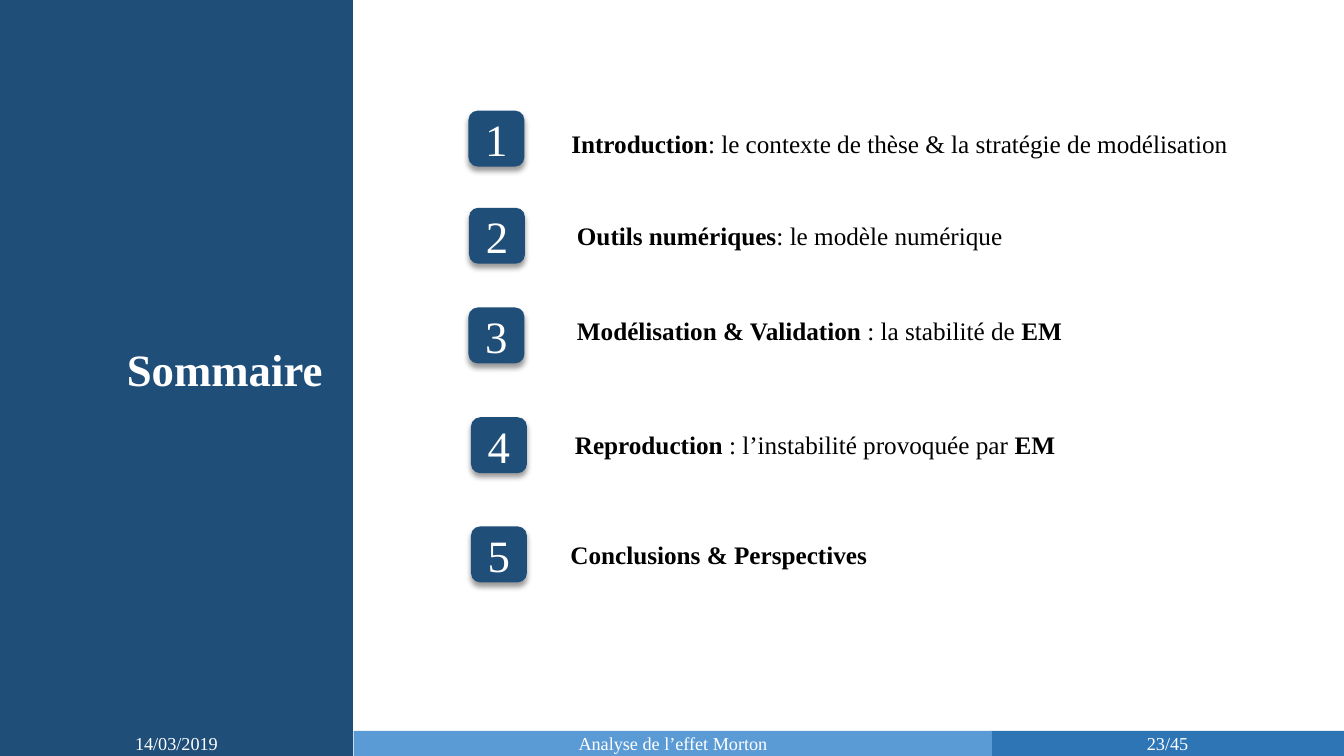
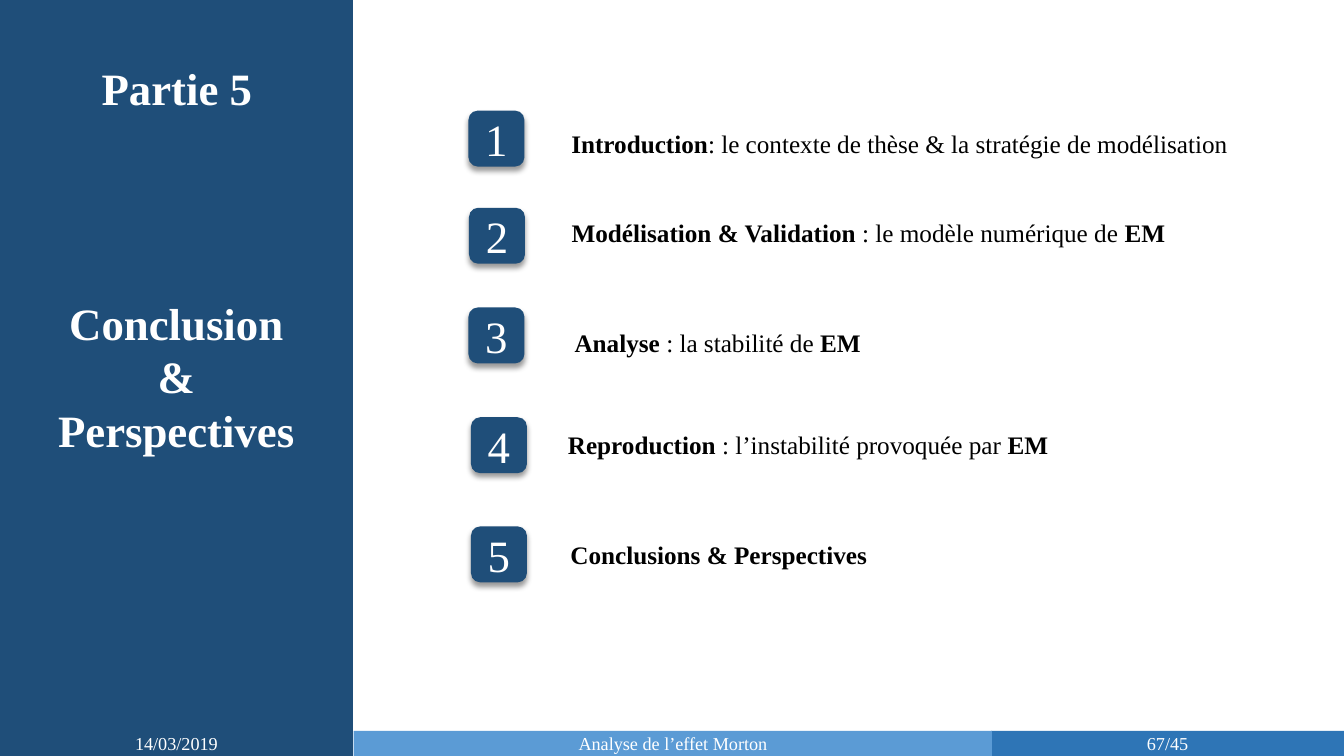
from lxml.etree import SubElement
from pptx import Presentation
from pptx.dml.color import RGBColor
from pptx.enum.shapes import MSO_SHAPE
from pptx.enum.text import MSO_ANCHOR, MSO_AUTO_SIZE, PP_ALIGN
from pptx.oxml.ns import qn
from pptx.util import Pt

NAVY = RGBColor(0x1F, 0x4E, 0x79)
BLUE = RGBColor(0x2E, 0x75, 0xB6)
SKY = RGBColor(0x5B, 0x9B, 0xD5)
WHITE = RGBColor(0xFF, 0xFF, 0xFF)
BLACK = RGBColor(0, 0, 0)

FONT = "Times New Roman"
TITLE = dict(size=Pt(32), bold=True)
NUMBER = dict(size=Pt(32), bold=False)
FOOTER = dict(size=Pt(13), bold=False)

WIDTH, HEIGHT = 960, 540
SIDEBAR_W = 252
FOOTER_TOP, FOOTER_H = 522, 18
BADGE = 40
BADGE_PLACES = [(334.6, 79), (335, 148.4), (334.6, 219.6), (336.4, 298), (336.4, 376)]

DATE = "14/03/2019"
TALK = "Analyse de l’effet Morton"

# Each entry: left, top, width, then runs that alternate bold and regular
INTRODUCTION = (398.9, 87.8, 487.4,
                ("Introduction", ": le contexte de thèse & la stratégie de modélisation"))
CONCLUSIONS = (398.9, 381.6, 229, ("Conclusions & Perspectives",))
REPRODUCTION = ("Reproduction", " : l’instabilité provoquée par ", "EM")

# Each title: left, top, width, height, lines
SLIDES = [
    dict(
        page="23/45",
        titles=[(82.8, 240.5, 155.5, 46, ["Sommaire"])],
        entries=[
            INTRODUCTION,
            (403.2, 154.1, 321.8, ("Outils numériques", ": le modèle numérique")),
            (403.2, 221.8, 364.3, ("Modélisation & Validation ", ": la stabilité de ", "EM")),
            (402.5, 303.1, 359.3, REPRODUCTION),
            CONCLUSIONS,
        ],
    ),
    dict(
        page="67/45",
        titles=[
            (64.8, 39.6, 123.1, 46, ["Partie 5"]),
            (5, 207.4, 242, 123.8, ["Conclusion", "&", "Perspectives"]),
        ],
        entries=[
            INTRODUCTION,
            (398.9, 151.9, 442.8,
             ("Modélisation & Validation", " : le modèle numérique de ", "EM")),
            (403.2, 230.4, 218.9, ("Analyse ", ": la stabilité de ", "EM")),
            (397.5, 303.1, 359.3, REPRODUCTION),
            CONCLUSIONS,
        ],
    ),
]


def set_font(font, color, style):
    font.name = FONT
    font.color.rgb = color
    for name, value in style.items():
        setattr(font, name, value)


def add_block(slide, kind, box, fill, text="", style=FOOTER):
    sp = slide.shapes.add_shape(kind, *map(Pt, box))
    sp.shadow.inherit = False
    sp.fill.solid()
    sp.fill.fore_color.rgb = fill
    sp.line.fill.background()
    if text:
        tf = sp.text_frame
        tf.vertical_anchor = MSO_ANCHOR.MIDDLE
        p = tf.paragraphs[0]
        p.alignment = PP_ALIGN.CENTER
        r = p.add_run()
        r.text = text
        set_font(r.font, WHITE, style)
    return sp


def add_text(slide, box, lines, color, style):
    """Add centred lines, each a sequence of (text, bold) runs."""
    tf = slide.shapes.add_textbox(*map(Pt, box)).text_frame
    tf.word_wrap = False
    tf.auto_size = MSO_AUTO_SIZE.SHAPE_TO_FIT_TEXT
    for i, runs in enumerate(lines):
        p = tf.add_paragraph() if i else tf.paragraphs[0]
        p.alignment = PP_ALIGN.CENTER
        for text, bold in runs:
            r = p.add_run()
            r.text = text
            set_font(r.font, color, {**style, "bold": bold})


def add_drop_shadow(sp):
    effects = sp._element.spPr.find(qn("a:effectLst"))
    shadow = SubElement(effects, qn("a:outerShdw"), blurRad=str(Pt(4)),
                        dist=str(Pt(3)), dir="5400000", rotWithShape="0")
    color = SubElement(shadow, qn("a:srgbClr"), val="000000")
    SubElement(color, qn("a:alpha"), val="40000")


def add_sidebar(slide, titles):
    sp = add_block(slide, MSO_SHAPE.RECTANGLE, (0, 0, SIDEBAR_W, HEIGHT), NAVY)
    sp.line.color.rgb = NAVY
    sp.line.width = Pt(1)
    for *box, lines in titles:
        add_text(slide, box, [[(line, True)] for line in lines], WHITE, TITLE)


def add_footer(slide, page):
    page_left = WIDTH - SIDEBAR_W
    middle_left = SIDEBAR_W + 0.7
    for left, right, fill, text in [
        (page_left, WIDTH, BLUE, page),
        (0, SIDEBAR_W, NAVY, DATE),
        (middle_left, page_left + 0.5, SKY, TALK),
    ]:
        add_block(slide, MSO_SHAPE.RECTANGLE,
                  (left, FOOTER_TOP, right - left, FOOTER_H), fill, text)


def add_agenda(slide, entries):
    for number, (place, entry) in enumerate(zip(BADGE_PLACES, entries), 1):
        sp = add_block(slide, MSO_SHAPE.ROUNDED_RECTANGLE,
                       (*place, BADGE, BADGE), NAVY, str(number), NUMBER)
        add_drop_shadow(sp)
        left, top, width, texts = entry
        runs = [(text, i % 2 == 0) for i, text in enumerate(texts)]
        add_text(slide, (left, top, width, 29), [runs], BLACK, dict(size=Pt(18)))


def main():
    prs = Presentation()
    prs.slide_width, prs.slide_height = Pt(WIDTH), Pt(HEIGHT)
    for content in SLIDES:
        slide = prs.slides.add_slide(prs.slide_layouts[6])
        add_sidebar(slide, content["titles"])
        add_footer(slide, content["page"])
        add_agenda(slide, content["entries"])
    prs.save("out.pptx")


if __name__ == "__main__":
    main()
